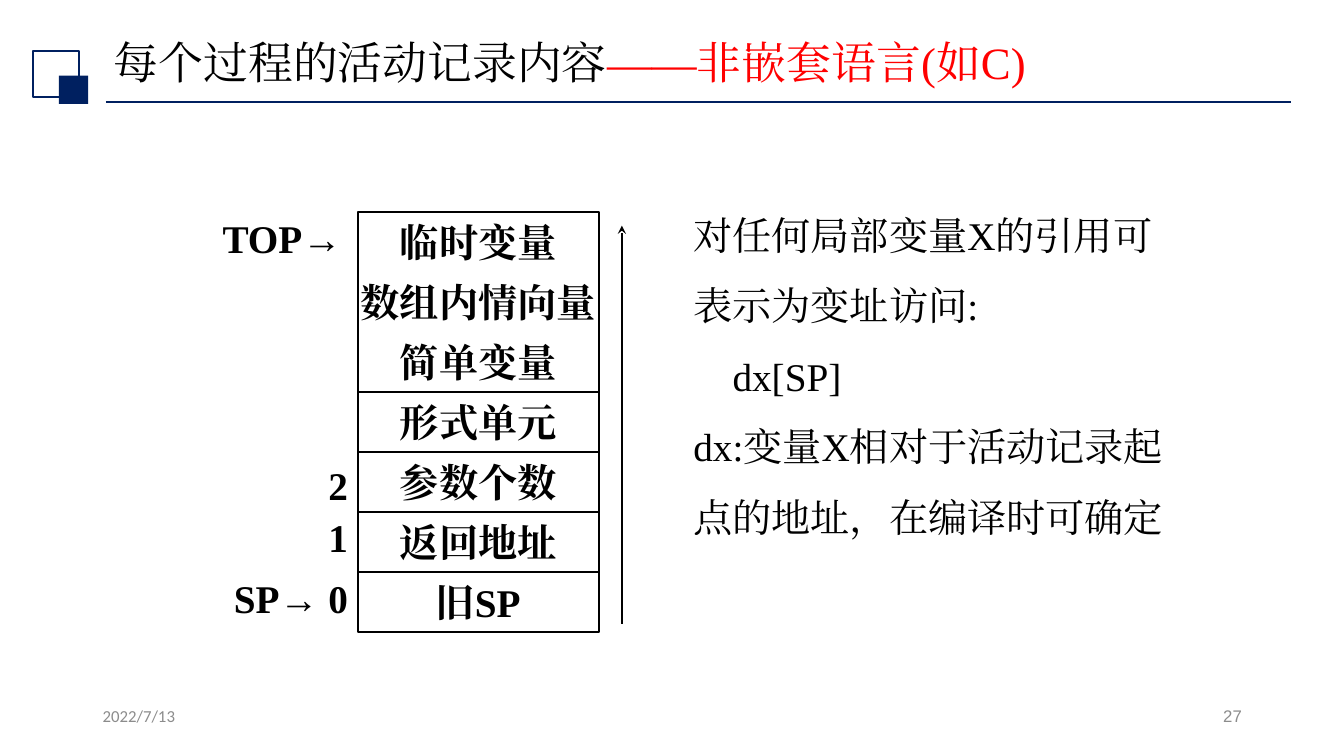
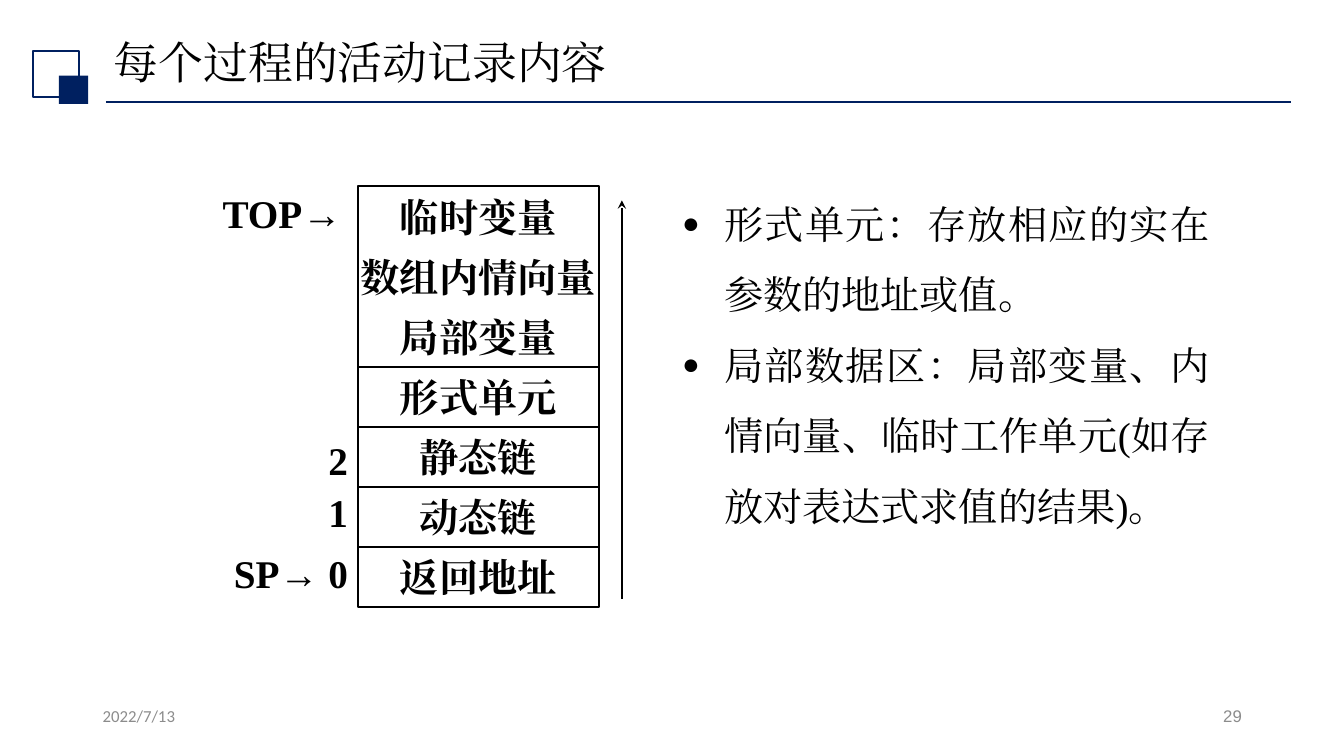
from lxml import etree
from pptx import Presentation
from pptx.dml.color import RGBColor
from pptx.enum.shapes import MSO_CONNECTOR, MSO_SHAPE
from pptx.enum.text import MSO_ANCHOR, PP_ALIGN
from pptx.oxml.ns import qn
from pptx.util import Pt

LEFT, CENTER, RIGHT = PP_ALIGN.LEFT, PP_ALIGN.CENTER, PP_ALIGN.RIGHT
JUSTIFY = PP_ALIGN.JUSTIFY
TOP, MIDDLE = MSO_ANCHOR.TOP, MSO_ANCHOR.MIDDLE
RECT, STRAIGHT = MSO_SHAPE.RECTANGLE, MSO_CONNECTOR.STRAIGHT

NAVY, BLACK, RED, GRAY = "002060", "000000", "FF0000", "8C8C8C"
SERIF = "Times New Roman"
STACK_X, STACK_W, ROW_H = 255.6, 172, 42.9


def color(code):
    return RGBColor.from_string(code)


class Deck:
    def __init__(self):
        self.prs = Presentation()
        self.prs.slide_width, self.prs.slide_height = Pt(960), Pt(540)
        self.slide = None

    def style(self, run, size, tone=BLACK, bold=False, face=SERIF):
        font = run.font
        font.size, font.bold, font.name = Pt(size), bold, face
        font.color.rgb = color(tone)
        east = etree.SubElement(run._r.get_or_add_rPr(), qn("a:ea"))
        east.set("typeface", face)

    def text(self, box, lines, size=28, align=LEFT, anchor=TOP, space=None, **look):
        frame = self.slide.shapes.add_textbox(*map(Pt, box)).text_frame
        frame.word_wrap = True
        frame.vertical_anchor = anchor
        frame.text = "\n".join(lines)
        for para in frame.paragraphs:
            para.alignment = align
            if space:
                para.line_spacing = space
            for run in para.runs:
                self.style(run, size, **look)
        return frame

    def rect(self, box, line=None, fill=None, width=1.5):
        shape = self.slide.shapes.add_shape(RECT, *map(Pt, box))
        shape.shadow.inherit = False
        if fill:
            shape.fill.solid()
            shape.fill.fore_color.rgb = color(fill)
        else:
            shape.fill.background()
        if line:
            shape.line.color.rgb = color(line)
            shape.line.width = Pt(width)
        else:
            shape.line.fill.background()

    def line(self, ends, tone, width, arrow=False):
        line = self.slide.shapes.add_connector(STRAIGHT, *map(Pt, ends))
        line.line.color.rgb = color(tone)
        line.line.width = Pt(width)
        if arrow:
            tail = etree.SubElement(line.line._get_or_add_ln(), qn("a:tailEnd"))
            tail.set("type", "stealth")
        etree.SubElement(line._element.spPr, qn("a:effectLst"))

    def indent(self, para, left, first=0):
        props = para._p.get_or_add_pPr()
        props.set("marL", str(Pt(left)))
        props.set("indent", str(Pt(first)))
        return props

    def bullet(self, para):
        props = self.indent(para, 30, -30)
        for tag, key, value in (("a:buSzPct", "val", "75000"),
                                ("a:buFont", "typeface", "Arial"),
                                ("a:buChar", "char", "●")):
            etree.SubElement(props, qn(tag)).set(key, value)

    def page(self, number, title, extra=None):
        self.slide = self.prs.slides.add_slide(self.prs.slide_layouts[6])
        # Title band
        self.line((75.6, 72.7, 922.3, 72.7), NAVY, 1.25)
        self.rect((23.8, 36.7, 32.4, 32.4), line=NAVY)
        self.rect((42, 54, 20.9, 20.2), fill=NAVY)
        frame = self.text((74.2, 24.5, 828, 43.9), [title], 32,
                          anchor=MIDDLE, space=0.9)
        if extra:
            run = frame.paragraphs[0].add_run()
            run.text = extra
            self.style(run, 32, RED)
        # Footer
        self.text((66.2, 500.4, 216, 28.8), ["2022/7/13"], 12,
                  tone=GRAY, face="Calibri")
        self.text((678.2, 500.4, 216, 28.8), [number], 12, RIGHT,
                  tone=GRAY, face="Arial")

    def stack(self, top, cells):
        # Frame, with borders around the middle cells only
        self.rect((STACK_X, top, STACK_W, ROW_H * len(cells)), line=BLACK)
        for row, name in enumerate(cells):
            box = (STACK_X, top + row * ROW_H, STACK_W, ROW_H)
            if 3 <= row <= 5:
                self.rect(box, line=BLACK)
            frame = self.text(box, [name], align=CENTER, anchor=MIDDLE, bold=True)
            frame.margin_left = frame.margin_right = 0
        # Offsets and pointers
        for name, right, down in (("TOP→", 251, 0), ("2", STACK_X, 176.4),
                                  ("1", STACK_X, 213.8), ("SP→ 0", STACK_X, 257)):
            self.text((right - 120, top + down, 120, 37.5), [name],
                      align=RIGHT, anchor=MIDDLE, bold=True)
        # Growth arrow
        self.line((444.2, top + 294.5, 444.2, top + 10), BLACK, 1.5, arrow=True)


def main():
    deck = Deck()
    title = "每个过程的活动记录内容"

    # Non-nested languages
    deck.page("27", title, "——非嵌套语言(如C)")
    deck.stack(151.2, ["临时变量", "数组内情向量", "简单变量", "形式单元",
                       "参数个数", "返回地址", "旧SP"])
    frame = deck.text((488.2, 130.3, 354.2, 306),
                      ["对任何局部变量X的引用可表示为变址访问:", "dx[SP]",
                       "dx:变量X相对于活动记录起点的地址，在编译时可确定"], space=1.5)
    deck.indent(frame.paragraphs[1], 28)

    # Record with links
    deck.page("29", title)
    deck.stack(133.2, ["临时变量", "数组内情向量", "局部变量", "形式单元",
                       "静态链", "动态链", "返回地址"])
    frame = deck.text((480.2, 122.4, 391, 337),
                      ["形式单元：存放相应的实在参数的地址或值。",
                       "局部数据区：局部变量、内情向量、临时工作单元(如存放对表达式求值的结果)。"],
                      align=JUSTIFY, space=1.5)
    for para in frame.paragraphs:
        deck.bullet(para)

    deck.prs.save("out.pptx")


if __name__ == "__main__":
    main()
